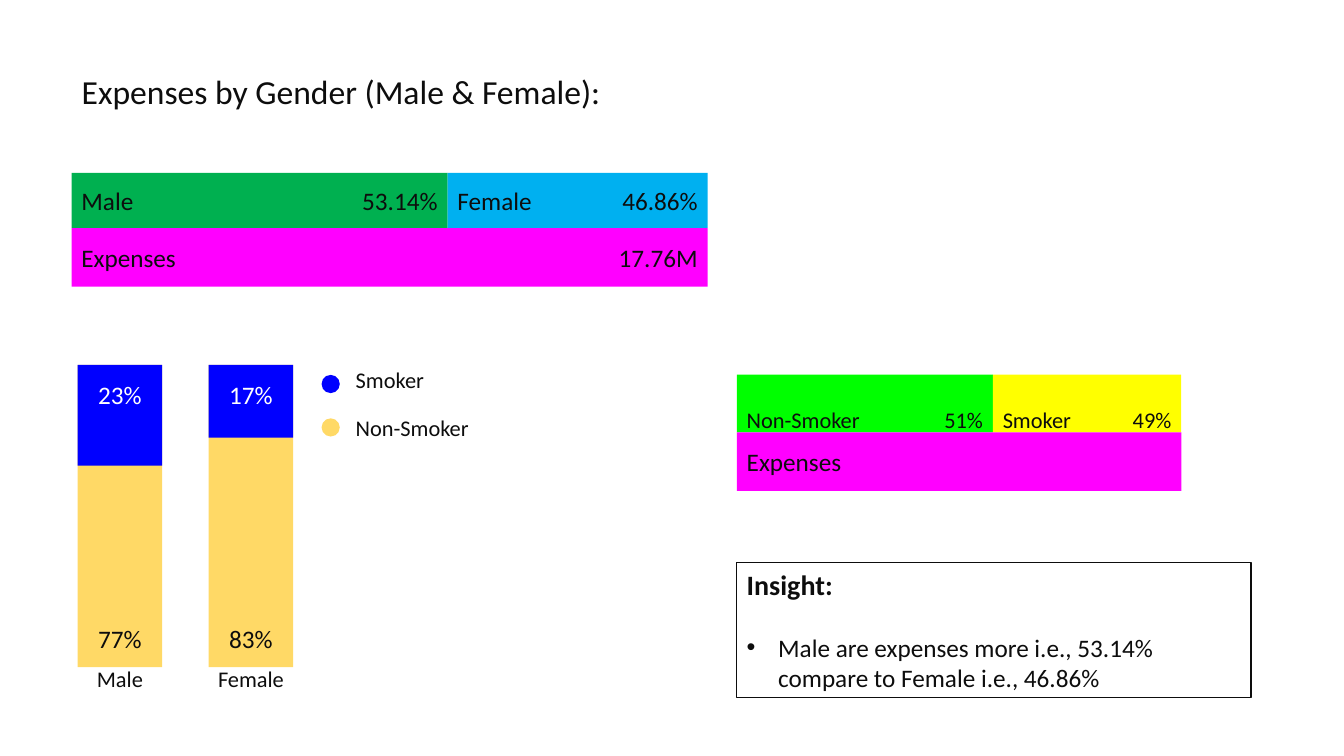
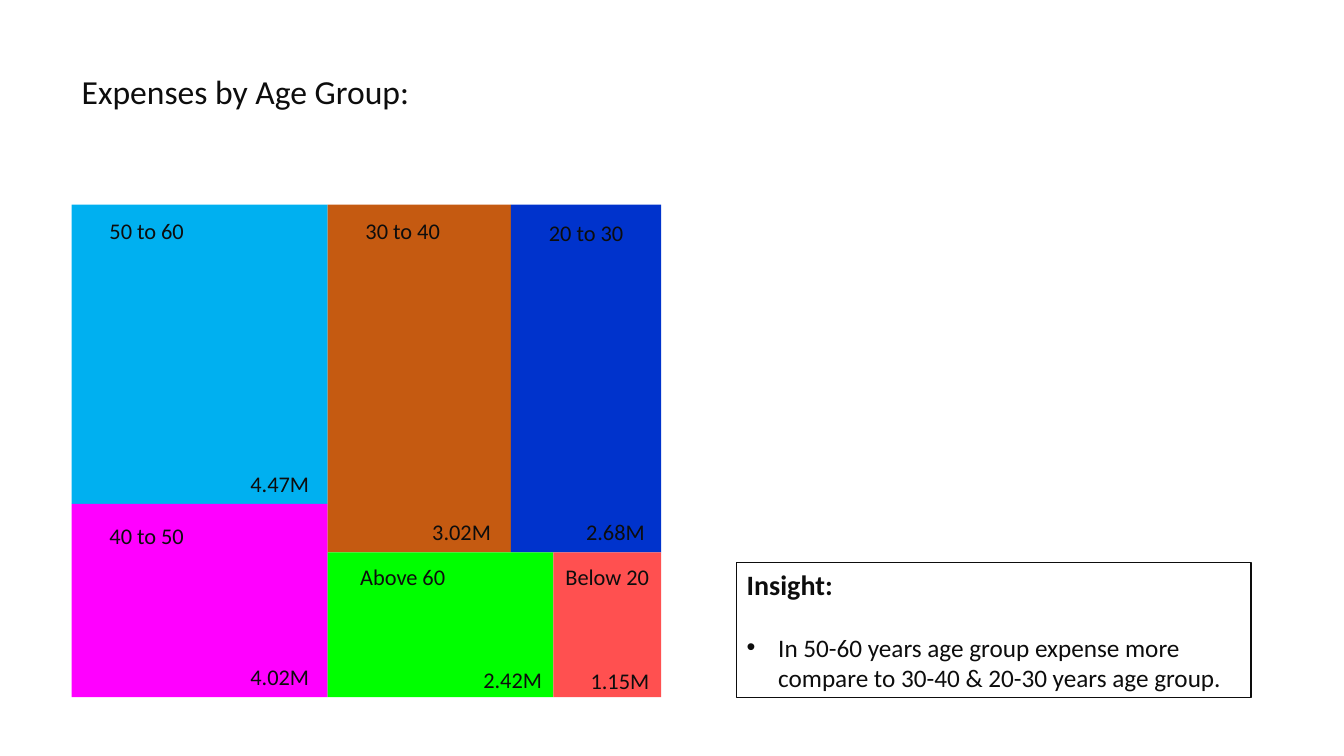
import dataclasses

import pptx
import pptx.dml.color
import pptx.enum.shapes
import pptx.enum.text
import pptx.oxml
import pptx.oxml.ns
import pptx.util

Pt = pptx.util.Pt
Align = pptx.enum.text.PP_ALIGN
Kind = pptx.enum.shapes.MSO_SHAPE


@dataclasses.dataclass(frozen=True)
class Theme:
    font: str = "Calibri"
    ink: str = "0D0D0D"
    white: str = "FFFFFF"
    green: str = "00B050"
    sky: str = "00B0F0"
    pink: str = "FF00FF"
    sand: str = "FFD966"
    blue: str = "0000FF"
    lime: str = "00FF00"
    yellow: str = "FFFF00"
    rust: str = "C55A11"
    navy: str = "0033CC"
    coral: str = "FF5050"
    title: int = 24
    head: int = 20
    body: int = 18
    small: int = 16
    left: float = 51.1
    right: float = 526.3


class Deck:
    def __init__(self, theme):
        self.theme = theme
        self.prs = pptx.Presentation()
        self.prs.slide_width = Pt(960)
        self.prs.slide_height = Pt(540)
        self.slide = None

    def paint(self, part, color):
        part.solid()
        part.fore_color.rgb = pptx.dml.color.RGBColor.from_string(color)

    def style(self, para, size, color=None, bold=False):
        for run in para.runs:
            run.font.name = self.theme.font
            run.font.size = Pt(size)
            run.font.bold = bold
            self.paint(run.font.fill, color or self.theme.ink)

    def page(self, title):
        self.slide = self.prs.slides.add_slide(self.prs.slide_layouts[5])
        shape = self.slide.shapes.title
        shape.left, shape.top = Pt(self.theme.left), Pt(41.8)
        shape.width, shape.height = Pt(792), Pt(46)
        self.letter(shape, title, self.theme.title)

    def letter(self, shape, words, size, align=Align.LEFT, color=None):
        frame = shape.text_frame
        frame.text = words
        frame.word_wrap = True
        frame.auto_size = pptx.enum.text.MSO_AUTO_SIZE.NONE
        frame.vertical_anchor = pptx.enum.text.MSO_ANCHOR.MIDDLE
        frame.margin_top = frame.margin_bottom = 0
        para = frame.paragraphs[0]
        para.alignment = align
        self.style(para, size, color)

    def label(self, words, area, size, align=Align.LEFT, color=None):
        box = self.slide.shapes.add_textbox(*map(Pt, area))
        self.letter(box, words, size, align, color)

    def block(self, area, fill=None, kind=Kind.RECTANGLE):
        shape = self.slide.shapes.add_shape(kind, *map(Pt, area))
        shape.shadow.inherit = False
        if fill:
            self.paint(shape.fill, fill)
            shape.line.fill.background()
        else:
            shape.fill.background()
            self.paint(shape.line.fill, self.theme.ink)
            shape.line.width = Pt(1)
        return shape

    def strip(self, name, left, top, width, fill, total=""):
        area = (left, top, width, 41.8)
        self.letter(self.block(area, fill), name, self.theme.body)
        if total:
            self.label(total, area, self.theme.body, Align.RIGHT)

    def split(self, left, base, high, band, size, parts):
        for name, share, width, fill in parts:
            self.block((left, base - high, width, high), fill)
            area = (left, base - band, width, band)
            self.label(name, area, size)
            self.label(share, area, size, Align.RIGHT)
            left += width

    def column(self, name, left, high, smoke, rest):
        t = self.theme
        top, wide, full, band = 260.6, 60.5, 216, 41.8
        self.block((left, top, wide, full), t.sand)
        self.block((left, top, wide, high), t.blue)
        self.label(smoke, (left, top, wide, band), t.body, Align.CENTER, t.white)
        self.label(rest, (left, top + full - band, wide, band), t.body, Align.CENTER)
        self.label(name, (left - 5, 472.3, wide + 10, 25.2), t.small, Align.CENTER)

    def key(self, name, fill, dot, top):
        self.block((229.7, dot, 13, 13), fill, Kind.OVAL)
        self.label(name, (247, top, 114.5, 18.7), self.theme.small)

    def tile(self, name, value, edges, fill, head, foot, wide):
        left, top, right, base = edges
        size = self.theme.small
        self.block((left, top, right - left, base - top), fill)
        span = min(107.3, right - left)
        self.label(name, (left, top, span, head), size, Align.CENTER)
        self.label(value, (right - wide, base - foot, wide, foot), size, Align.CENTER)

    def insight(self, words):
        t = self.theme
        shape = self.block((t.right, 401.8, 367.2, 96.5))
        self.letter(shape, "Insight:", t.head)
        self.style(shape.text_frame.paragraphs[0], t.head, bold=True)
        para = shape.text_frame.add_paragraph()
        para.text = words
        para.alignment = Align.LEFT
        para.space_before = Pt(22)
        props = para._p.get_or_add_pPr()
        props.set("marL", str(Pt(22.5)))
        props.set("indent", str(Pt(-22.5)))
        space = pptx.oxml.ns.nsdecls("a")
        for tag in ('buFont {} typeface="Arial"', 'buChar {} char="•"'):
            props.append(pptx.oxml.parse_xml("<a:" + tag.format(space) + "/>"))
        self.style(para, t.body)


def gender(deck):
    t = deck.theme
    deck.page("Expenses by Gender (Male & Female):")
    deck.split(t.left, 162.9, 39.3, 39.3, t.body, [
        ("Male", "53.14%", 268.6, t.green),
        ("Female", "46.86%", 185.8, t.sky),
    ])
    deck.strip("Expenses", t.left, 162.9, 454.4, t.pink, "17.76M")
    deck.column("Male", 55.4, 72, "23%", "77%")
    deck.column("Female", 149, 52, "17%", "83%")
    deck.key("Smoker", t.blue, 267.8, 262.1)
    deck.key("Non-Smoker", t.sand, 298.8, 295.9)
    deck.split(t.right, 308.9, 41.3, 18.7, t.small, [
        ("Non-Smoker", "51%", 182.9, t.lime),
        ("Smoker", "49%", 134.6, t.yellow),
    ])
    deck.strip("Expenses", t.right, 308.9, 317.5, t.pink)
    deck.insight("Male are expenses more i.e., 53.14% compare to Female i.e., 46.86%")


def age(deck):
    t = deck.theme
    deck.page("Expenses by Age Group:")
    x1, x2, x3, x4, x5 = t.left, 234, 365, 395.3, 472.3
    y1, y2, y3, y4 = 146.2, 360, 394.6, 498
    tiles = [
        ("50 to 60", "4.47M", (x1, y1, x2, y2), t.sky, 37.4, 29.5, 68.4),
        ("40 to 50", "4.02M", (x1, y2, x2, y4), t.pink, 44.6, 28.8, 68.4),
        ("30 to 40", "3.02M", (x2, y1, x3, y3), t.rust, 37.4, 29.5, 70.6),
        ("20 to 30", "2.68M", (x3, y1, x5, y3), t.navy, 40.3, 29.5, 65.5),
        ("Above 60", "2.42M", (x2, y3, x4, y4), t.lime, 34.6, 25.2, 58.3),
        ("Below 20", "1.15M", (x4, y3, x5, y4), t.coral, 34.6, 23.8, 59),
    ]
    for tile in tiles:
        deck.tile(*tile)
    deck.insight("In 50-60 years age group expense more compare to "
                 "30-40 & 20-30 years age group.")


def main():
    deck = Deck(Theme())
    gender(deck)
    age(deck)
    deck.prs.save("out.pptx")


if __name__ == "__main__":
    main()
